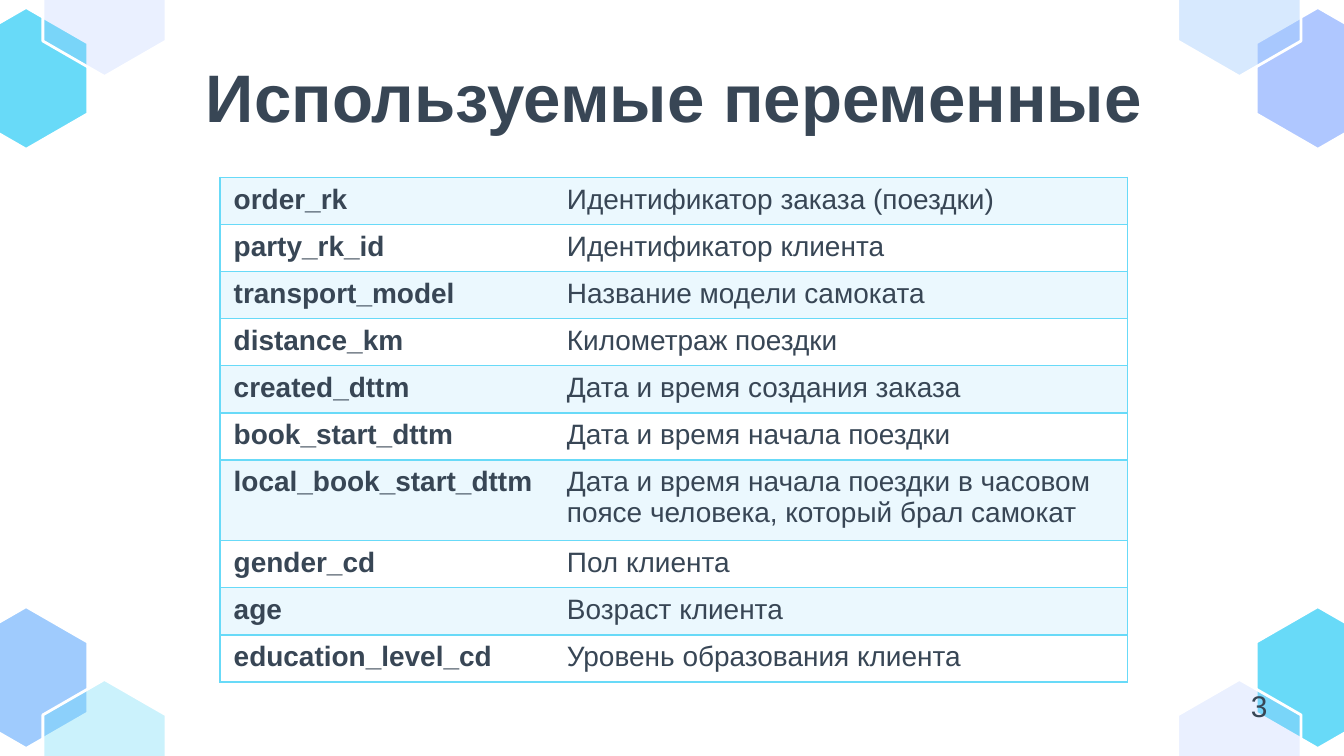
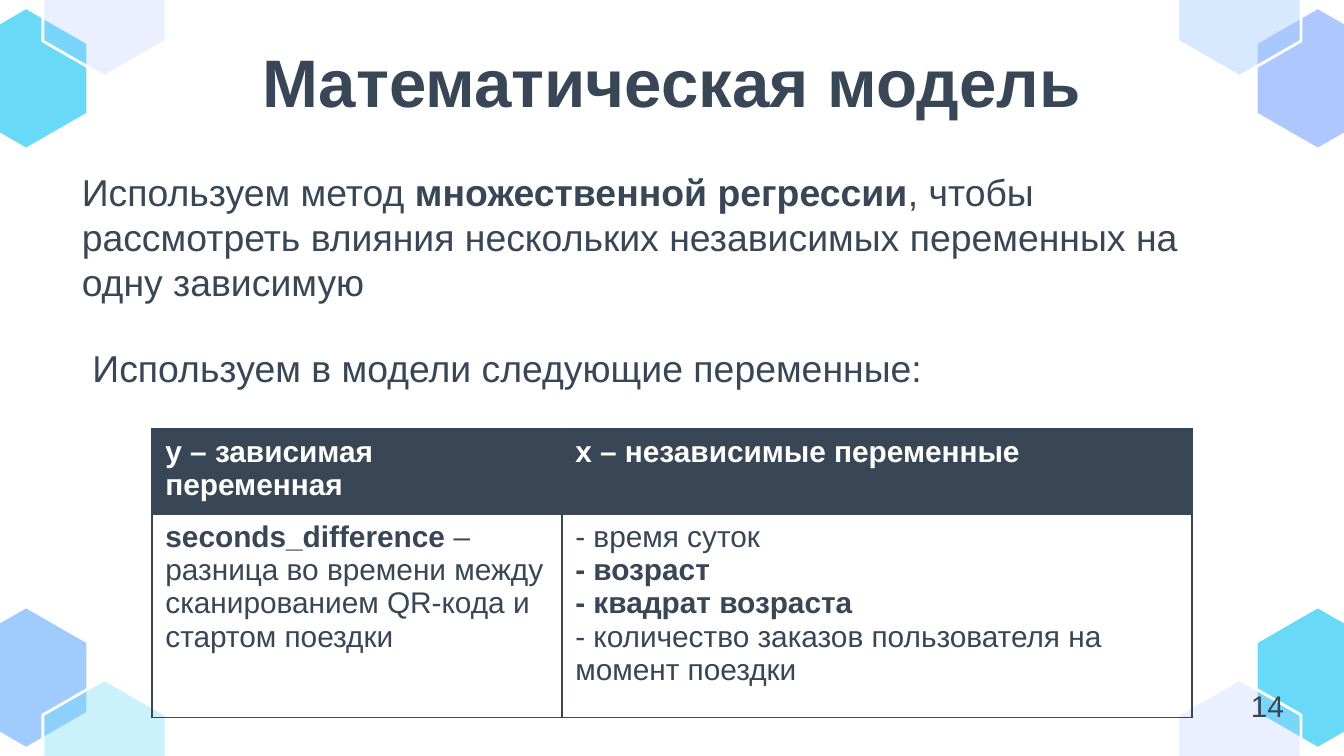
from dataclasses import dataclass

from lxml import etree
from pptx import Presentation
from pptx.dml.color import RGBColor
from pptx.enum.text import MSO_ANCHOR, PP_ALIGN
from pptx.oxml.ns import qn
from pptx.util import Pt

TOP = MSO_ANCHOR.TOP
LEFT, CENTER = PP_ALIGN.LEFT, PP_ALIGN.CENTER
SIDES = "LRTB"


@dataclass(frozen=True)
class Theme:
    """Colours, font and type sizes shared by the slides."""
    ink: str = "384655"
    white: str = "FFFFFF"
    cyan: str = "68DAF8"
    blue: str = "9FCBFD"
    violet: str = "AFC7FF"
    band: str = "EBF8FE"
    font: str = "Arial"
    title: int = 36
    body: int = 20
    cell: int = 16
    small: int = 15


THEME = Theme()
WIDTH, HEIGHT = 720, 405
HEX_W, HEX_H = 66, 76.4
OUTER, INNER = (13.7, 41.8), (56.2, 2.9)
HEXAGONS = [
    (OUTER, False, True, THEME.blue, 100),
    (INNER, False, True, THEME.cyan, 34),
    (OUTER, True, True, THEME.cyan, 100),
    (INNER, True, True, THEME.violet, 25),
    (OUTER, False, False, THEME.cyan, 100),
    (INNER, False, False, THEME.violet, 25),
    (OUTER, True, False, THEME.violet, 100),
    (INNER, True, False, THEME.blue, 41),
]

VARIABLES = [
    ("order_rk", "Идентификатор заказа (поездки)"),
    ("party_rk_id", "Идентификатор клиента"),
    ("transport_model", "Название модели самоката"),
    ("distance_km", "Километраж поездки"),
    ("created_dttm", "Дата и время создания заказа"),
    ("book_start_dttm", "Дата и время начала поездки"),
    ("local_book_start_dttm",
     "Дата и время начала поездки в часовом поясе человека, который брал самокат"),
    ("gender_cd", "Пол клиента"),
    ("age", "Возраст клиента"),
    ("education_level_cd", "Уровень образования клиента"),
]
METHOD = [[
    ("Используем метод ", False),
    ("множественной регрессии", True),
    (", чтобы рассмотреть влияния нескольких независимых переменных на одну зависимую", False),
]]
LEAD_IN = [[("Используем в модели следующие переменные:", False)]]
MODEL_HEAD = [
    [[("y – зависимая переменная", True)]],
    [[("x – независимые переменные", True)]],
]
MODEL_BODY = [
    [[("seconds_difference ", True),
      ("– разница во времени между сканированием QR-кода и стартом поездки", False)]],
    [[("- время суток", False)],
     [("- возраст", True)],
     [("- квадрат возраста", True)],
     [("- количество заказов пользователя на момент поездки", False)]],
]


def rgb(color):
    """Turn a hex string into a colour."""
    return RGBColor.from_string(color)


def write(tf, paragraphs, size, color=THEME.ink, align=LEFT):
    """Fill a text frame with paragraphs given as (text, bold) runs."""
    for i, runs in enumerate(paragraphs):
        p = tf.add_paragraph() if i else tf.paragraphs[0]
        p.alignment = align
        p.font.name, p.font.size = THEME.font, Pt(size)
        p.font.color.rgb = rgb(color)
        weights = {bold for _, bold in runs}
        if len(weights) == 1:
            p.font.bold = weights.pop()
        for text, bold in runs:
            r = p.add_run()
            r.text = text
            if p.font.bold is None:
                r.font.bold = bold


def add_text(s, box, paragraphs, size, insets=(7.2, 7.2), align=LEFT):
    """Add a wrapping text box with (side, top) insets."""
    tf = s.shapes.add_textbox(*map(Pt, box)).text_frame
    tf.word_wrap, tf.vertical_anchor = True, TOP
    side, top = insets
    tf.margin_left, tf.margin_right = Pt(side), Pt(7.2)
    tf.margin_top = tf.margin_bottom = Pt(top)
    write(tf, paragraphs, size, align=align)


def add_hexagon(s, cx, cy, color, alpha):
    """Draw one upright hexagon around its centre."""
    dx, dy = HEX_W / 2, HEX_H / 2
    quarter = dy / 2
    fb = s.shapes.build_freeform(cx, cy - dy, scale=Pt(1))
    fb.add_line_segments([
        (cx - dx, cy - quarter), (cx - dx, cy + quarter), (cx, cy + dy),
        (cx + dx, cy + quarter), (cx + dx, cy - quarter),
    ], close=True)
    sp = fb.convert_to_shape()
    sp.shadow.inherit = False
    sp.fill.solid()
    sp.fill.fore_color.rgb = rgb(color)
    sp.line.color.rgb = rgb(THEME.white)
    sp.line.width = Pt(1.5)
    if alpha < 100:
        clr = sp.fill._xPr.find(qn("a:solidFill"))[0]
        etree.SubElement(clr, qn("a:alpha"), val=str(alpha * 1000))


def add_corners(s):
    """Mirror the hexagon pairs into the four corners."""
    for (x, y), right, bottom, color, alpha in HEXAGONS:
        add_hexagon(s, WIDTH - x if right else x, HEIGHT - y if bottom else y, color, alpha)


def set_borders(cell, color, visible=SIDES):
    """Draw the named cell sides and hide the others."""
    tc_pr = cell._tc.get_or_add_tcPr()
    for i, side in enumerate(SIDES):
        ln = etree.Element(qn(f"a:ln{side}"), w=str(Pt(1)))
        if side in visible:
            fill = etree.SubElement(ln, qn("a:solidFill"))
            etree.SubElement(fill, qn("a:srgbClr"), val=color)
        else:
            etree.SubElement(ln, qn("a:noFill"))
        tc_pr.insert(i, ln)


def fill_cell(cell, paragraphs, size, color=THEME.ink, fill=None):
    """Write a cell and set its background."""
    write(cell.text_frame, paragraphs, size, color)
    if fill:
        cell.fill.solid()
        cell.fill.fore_color.rgb = rgb(fill)
    else:
        cell.fill.background()


def add_grid(s, left, top, widths, heights):
    """Add an unstyled table from its column widths and row heights."""
    box = map(Pt, (left, top, sum(widths), sum(heights)))
    table = s.shapes.add_table(len(heights), len(widths), *box).table
    table.first_row = table.horz_banding = False
    for column, width in zip(table.columns, widths):
        column.width = Pt(width)
    for row, height in zip(table.rows, heights):
        row.height = Pt(height)
    return table


def add_variables_table(s, left, top):
    """List the variables in banded rows."""
    heights = [40.4 if len(text) > 40 else 23.9 for _, text in VARIABLES]
    table = add_grid(s, left, top, (178.5, 307.5), heights)
    for i, (name, text) in enumerate(VARIABLES):
        fill = THEME.white if i % 2 else THEME.band
        columns = ((name, True, "LTB"), (text, False, "RTB"))
        for j, (value, bold, sides) in enumerate(columns):
            cell = table.cell(i, j)
            fill_cell(cell, [[(value, bold)]], THEME.small, fill=fill)
            set_borders(cell, THEME.cyan, sides)


def add_model_table(s, left, top):
    """Set the dependent variable beside the independent ones."""
    table = add_grid(s, left, top, (219.6, 337.7), (45, 109))
    rows = ((MODEL_HEAD, THEME.white, THEME.ink), (MODEL_BODY, THEME.ink, None))
    for i, (row, color, fill) in enumerate(rows):
        for j, paragraphs in enumerate(row):
            fill_cell(table.cell(i, j), paragraphs, THEME.cell, color, fill)
            set_borders(table.cell(i, j), THEME.ink)


def add_base(prs, title, title_box, number):
    """Start a slide with its corners, title and page number."""
    s = prs.slides.add_slide(prs.slide_layouts[6])
    s.background.fill.solid()
    s.background.fill.fore_color.rgb = rgb(THEME.white)
    add_corners(s)
    add_text(s, title_box, [[(title, True)]], THEME.title, align=CENTER)
    add_text(s, (663, 365, 58, 26.6), [[(number, False)]], THEME.cell, (7.2, 3.6))
    return s


def add_variables_slide(prs):
    """Build the slide that lists the variables."""
    s = add_base(prs, "Используемые переменные", (80, 22.3, 562, 54.7), "3")
    add_variables_table(s, 118, 95)


def add_model_slide(prs):
    """Build the slide that explains the model."""
    s = add_base(prs, "Математическая модель", (111, 14.4, 497.5, 54.7), "14")
    add_text(s, (36.7, 83.5, 605.5, 238.3), METHOD, THEME.body)
    add_text(s, (36.7, 181.4, 613.4, 53.3), LEAD_IN, THEME.body, (12.8, 3.6))
    add_model_table(s, 81.4, 229.7)


def main():
    """Build and save the presentation."""
    prs = Presentation()
    prs.slide_width, prs.slide_height = Pt(WIDTH), Pt(HEIGHT)
    add_variables_slide(prs)
    add_model_slide(prs)
    prs.save("out.pptx")


if __name__ == "__main__":
    main()
